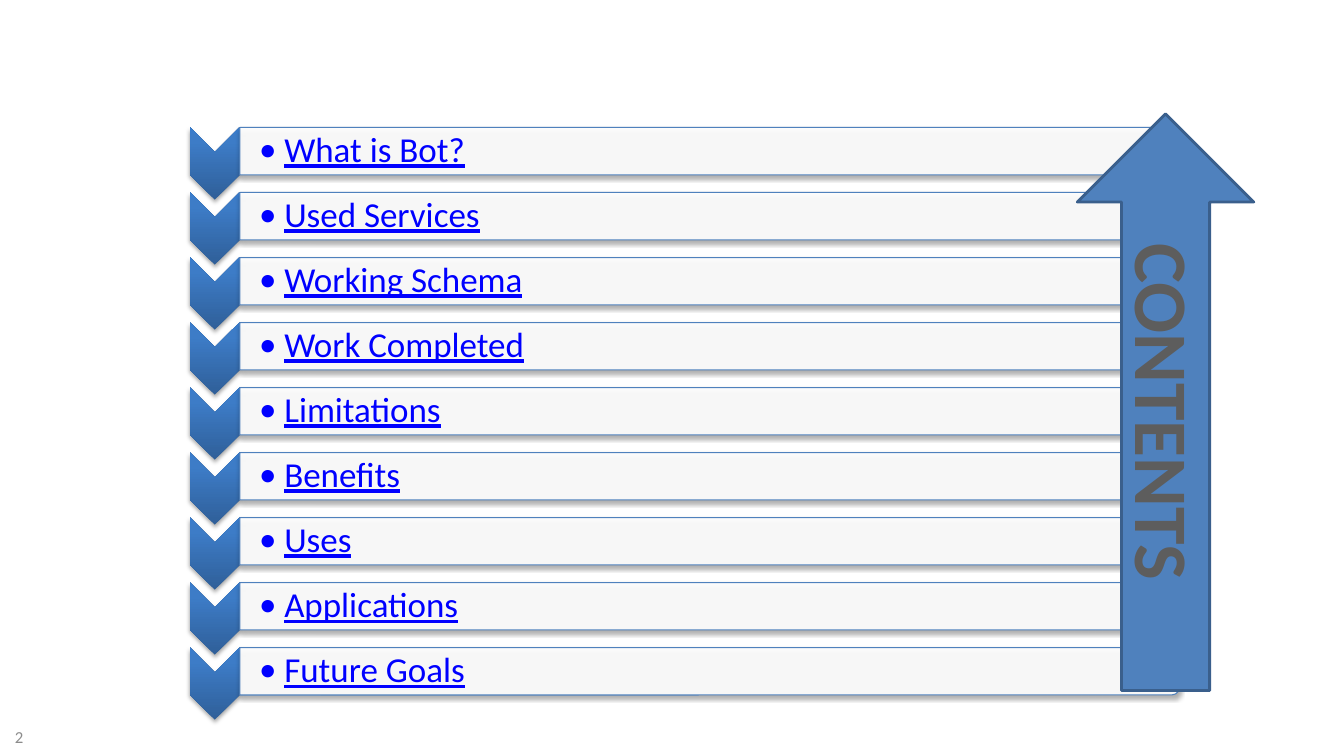
import lxml.etree
import pptx
import pptx.dml.color
import pptx.enum.shapes
import pptx.enum.text
import pptx.oxml
import pptx.oxml.ns
import pptx.util

Inches = pptx.util.Inches
Pt = pptx.util.Pt
KIND = pptx.enum.shapes.MSO_SHAPE
ALIGN = pptx.enum.text.PP_ALIGN
MIDDLE = pptx.enum.text.MSO_ANCHOR.MIDDLE

# Content
TOPICS = ["What is Bot?", "Used Services", "Working Schema", "Work Completed",
          "Limitations", "Benefits", "Uses", "Applications", "Future Goals"]
TITLE = "CONTENTS"
NUMBER = "2"

COLORS = {"blue": "4F81BD", "edge": "3A5F8C", "link": "0000FF", "white": "FFFFFF",
          "title": "5D5D5D", "number": "8C8C8C", "shade": "000000"}
RAMP = [(0, "2F5F99"), (80, "3D7CC7"), (100, "3A7CCB")]

# Layout in inches
TOP, PITCH = 1.5, 0.645          # middle of first row, step between rows
BAR_X, BAR_W, BAR_H = 2.38, 9.32, 0.47
CHEV_X, CHEV_W, CHEV_H = 2.13, 0.72, 0.5
CHEV_DROP = 0.12                 # chevrons sit a little below their row

deck = pptx.Presentation()
deck.slide_width, deck.slide_height = Inches(13.33), Inches(7.5)
slide = deck.slides.add_slide(deck.slide_layouts[6])


def color(name):
    return pptx.dml.color.RGBColor.from_string(COLORS[name])


def add_xml(parent, body):
    """Append one DrawingML element written with the a: prefix."""
    tag, rest = body[1:].split(" ", 1)
    space = pptx.oxml.ns.nsdecls("a")
    node = pptx.oxml.parse_xml(f"<{tag} {space} {rest}")
    parent.append(node)
    return node


def add_shape(kind, mid_x, mid_y, wide, high, turn=0, line=None, weight=0):
    """Place a preset shape by its middle."""
    shape = slide.shapes.add_shape(kind, Inches(mid_x - wide / 2), Inches(mid_y - high / 2),
                                   Inches(wide), Inches(high))
    shape.rotation = turn
    if line:
        shape.line.color.rgb = color(line)
        shape.line.width = Pt(weight)
    else:
        shape.line.fill.background()
    shape.shadow.inherit = False
    return shape


def add_shadow(shape):
    props = shape.shadow._element if hasattr(shape.shadow, "_element") else shape._element.spPr
    effects = props.find(pptx.oxml.ns.qn("a:effectLst"))
    add_xml(effects, f'<a:outerShdw blurRad="{Pt(3.1)}" dist="{Pt(1.8)}" dir="5400000" '
            f'rotWithShape="0"><a:srgbClr val="{COLORS["shade"]}">'
            '<a:alpha val="35000"/></a:srgbClr></a:outerShdw>')


def add_text(text, x, y, wide, high, size, ink, turn=0, bold=False, under=False,
             align=ALIGN.LEFT, wrap=True, inset=None, bullet=False):
    box = slide.shapes.add_textbox(Inches(x), Inches(y), Inches(wide), Inches(high))
    box.rotation = turn
    frame = box.text_frame
    frame.word_wrap = wrap
    frame.vertical_anchor = MIDDLE
    if inset:
        (frame.margin_left, frame.margin_top,
         frame.margin_right, frame.margin_bottom) = map(Inches, inset)
    para = frame.paragraphs[0]
    para.alignment = align
    if bullet:
        para.line_spacing = 0.9
        props = para._p.get_or_add_pPr()
        props.set("marL", str(Inches(0.25)))
        props.set("indent", str(-Inches(0.25)))
        add_xml(props, '<a:buFont typeface="Calibri"/>')
        add_xml(props, '<a:buChar char="•"/>')
    run = para.add_run()
    run.text = text
    font = run.font
    font.name, font.size, font.bold, font.underline = "Calibri", Pt(size), bold, under
    font.color.rgb = color(ink)


# Topic rows: chevron, bar, linked-looking label
stops = "".join(f'<a:gs pos="{pos * 1000}"><a:srgbClr val="{tone}"/></a:gs>'
                for pos, tone in RAMP)
for row, topic in enumerate(TOPICS):
    mid = TOP + row * PITCH

    chev = add_shape(KIND.CHEVRON, CHEV_X, mid + CHEV_DROP, CHEV_W, CHEV_H, turn=90)
    props = chev._element.spPr
    ramp = add_xml(props, f'<a:gradFill rotWithShape="0"><a:gsLst>{stops}</a:gsLst>'
                   '<a:lin ang="16200000" scaled="0"/></a:gradFill>')
    props.find(pptx.oxml.ns.qn("a:prstGeom")).addnext(ramp)
    add_shadow(chev)

    bar = add_shape(KIND.ROUND_2_SAME_RECTANGLE, BAR_X + BAR_W / 2, mid, BAR_H, BAR_W,
                    turn=90, line="blue", weight=0.75)
    bar.fill.solid()
    bar.fill.fore_color.rgb = color("white")
    tint = bar._element.spPr.find(pptx.oxml.ns.qn("a:solidFill"))[0]
    add_xml(tint, '<a:alpha val="90000"/>')
    add_shadow(bar)

    add_text(topic, BAR_X, mid - 0.21, 9.3, 0.42, 25, "link", under=True,
             inset=(0.19, 0.02, 0.02, 0.02), bullet=True)

# Upward arrow with its title
arrow = add_shape(KIND.UP_ARROW, 11.56, 3.99, 1.75, 5.72, line="edge", weight=2)
arrow.fill.solid()
arrow.fill.fore_color.rgb = color("blue")
add_text(TITLE, 9.28, 3.58, 4.57, 1.01, 54, "title", turn=90, bold=True,
         align=ALIGN.CENTER, wrap=False)

# Slide number
add_text(NUMBER, 0, 7.14, 0.33, 0.33, 12, "number", align=ALIGN.RIGHT)

deck.save("out.pptx")
